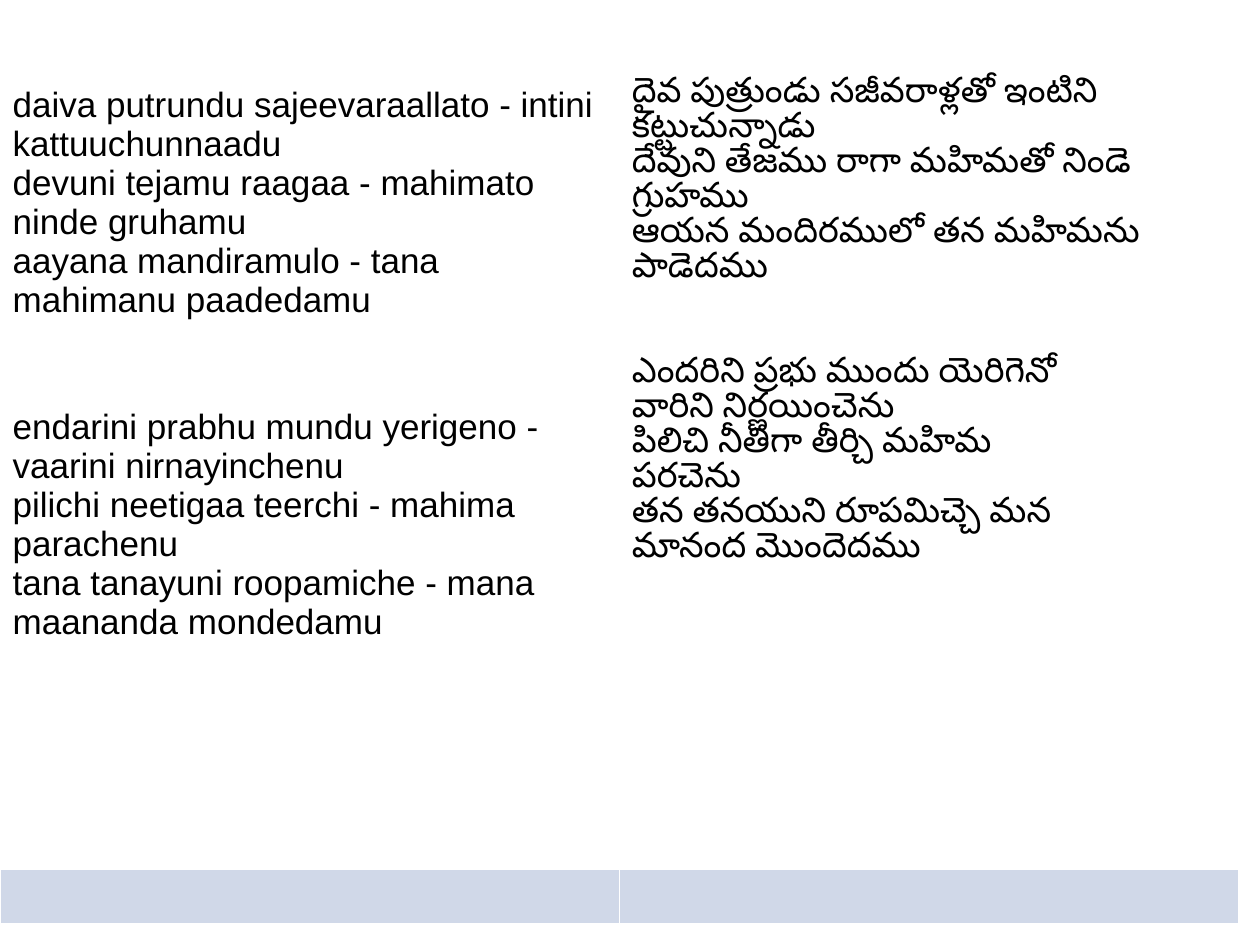
from lxml.etree import SubElement
from pptx import Presentation
from pptx.dml.color import RGBColor
from pptx.oxml.ns import qn
from pptx.util import Inches, Pt

WHITE = "FFFFFF"
BAND = "D0D8E8"
BLACK = "000000"
THIN, THICK = 0.45, 1.47

TRANSLITERATION = [
    "daiva putrundu sajeevaraallato - intini kattuuchunnaadu\n"
    "devuni tejamu raagaa - mahimato ninde gruhamu\n"
    "aayana mandiramulo - tana mahimanu paadedamu",
    "endarini prabhu mundu yerigeno - vaarini nirnayinchenu\n"
    "pilichi neetigaa teerchi - mahima parachenu\n"
    "tana tanayuni roopamiche - mana maananda mondedamu",
]
TELUGU = [
    "దైవ పుత్రుండు సజీవరాళ్లతో ఇంటిని కట్టుచున్నాడు\n"
    "దేవుని తేజము రాగా మహిమతో నిండె గ్రుహము\n"
    "ఆయన మందిరములో తన మహిమను పాడెదము",
    "ఎందరిని ప్రభు ముందు యెరిగెనో",
    "వారిని నిర్ణయించెను\nపిలిచి నీతిగా తీర్చి మహిమ",
    "పరచెను\nతన తనయుని రూపమిచ్చె మన",
    "మానంద మొందెదము",
]


def color(hex_code):
    return RGBColor.from_string(hex_code)


def style_cell(cell, fill, top, bottom):
    properties = cell._tc.get_or_add_tcPr()
    widths = {"a:lnL": THIN, "a:lnR": THIN, "a:lnT": top, "a:lnB": bottom}
    for side, width in widths.items():
        border = SubElement(properties, qn(side), w=str(int(Pt(width))))
        border_fill = SubElement(border, qn("a:solidFill"))
        SubElement(border_fill, qn("a:srgbClr"), val=WHITE)
    cell.fill.solid()
    cell.fill.fore_color.rgb = color(fill)


def write_verses(cell, verses, top_margin, line_pitch, stanza_gap):
    cell.margin_top = Inches(top_margin)
    frame = cell.text_frame
    for index, verse in enumerate(verses):
        paragraph = frame.add_paragraph() if index else frame.paragraphs[0]
        paragraph.text = verse
        paragraph.line_spacing = Pt(line_pitch)
        paragraph.space_before = Pt(stanza_gap if index == 1 else 0)
        paragraph.font.name = "Arial"
        paragraph.font.size = Pt(20)
        paragraph.font.color.rgb = color(BLACK)


def add_lyrics_table(slide):
    lyrics = slide.shapes.add_table(
        2, 2, Inches(0), Inches(0.23), Inches(9.83), Inches(7.1)
    ).table
    for row, height in zip(lyrics.rows, (6.67, 0.43)):
        row.height = Inches(height)
    for column in range(2):
        style_cell(lyrics.cell(0, column), WHITE, THIN, THICK)
        style_cell(lyrics.cell(1, column), BAND, THICK, THIN)
    return lyrics


def main():
    presentation = Presentation()
    presentation.slide_width = Inches(10)
    presentation.slide_height = Inches(7.5)
    slide = presentation.slides.add_slide(presentation.slide_layouts[6])
    lyrics = add_lyrics_table(slide)
    write_verses(lyrics.cell(0, 0), TRANSLITERATION, 0.45, 22.3, 50)
    write_verses(lyrics.cell(0, 1), TELUGU, 0.36, 20, 40)
    presentation.save("out.pptx")


if __name__ == "__main__":
    main()
